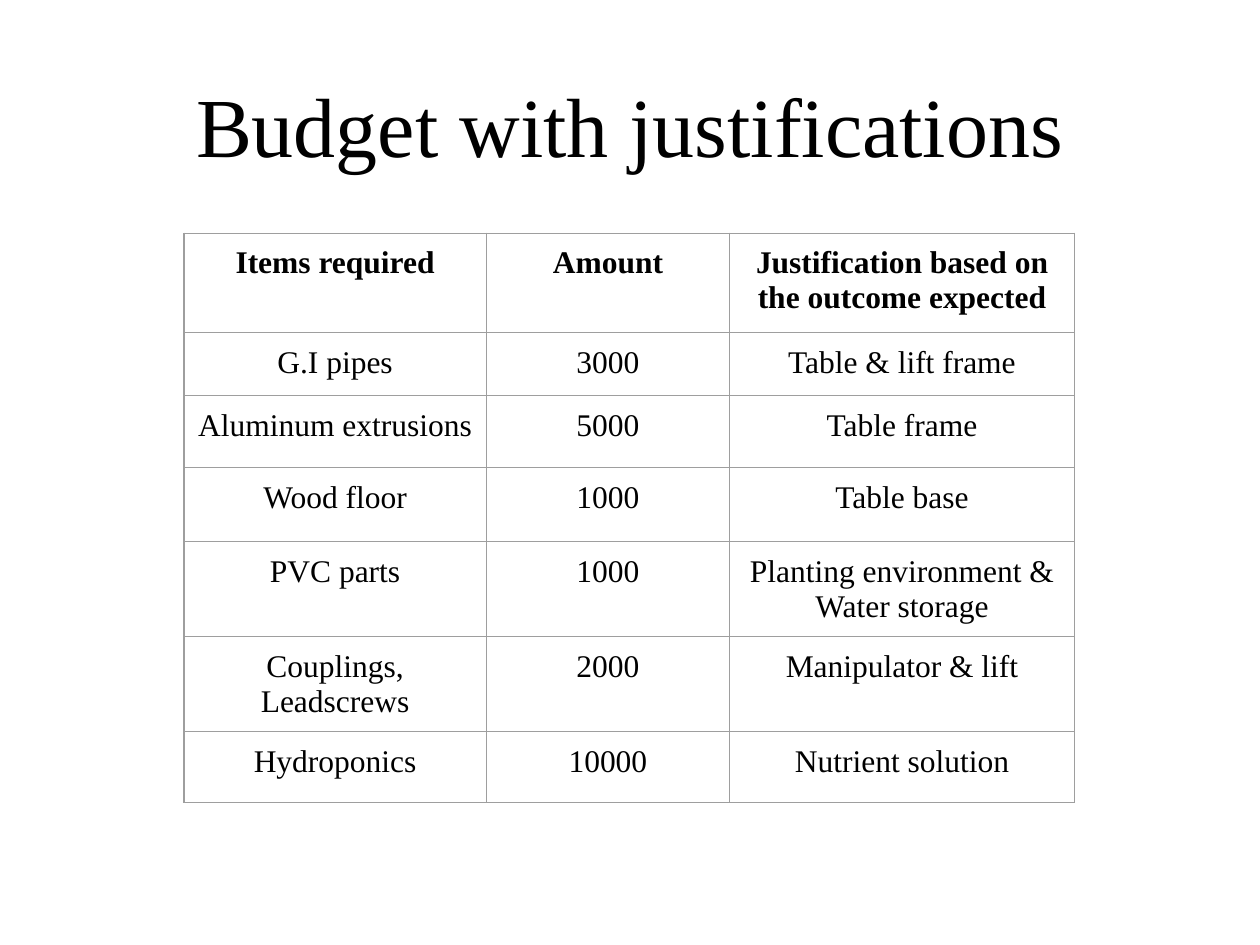
"""Build a slide with a budget table and the justification for each item."""
from dataclasses import dataclass

from lxml import etree
from pptx import Presentation
from pptx.dml.color import RGBColor
from pptx.enum.text import MSO_ANCHOR, MSO_AUTO_SIZE, PP_ALIGN
from pptx.oxml.ns import qn
from pptx.util import Pt

CENTER = PP_ALIGN.CENTER
TOP, MIDDLE = MSO_ANCHOR.TOP, MSO_ANCHOR.MIDDLE
NO_AUTOFIT = MSO_AUTO_SIZE.NONE
PX = 9144


@dataclass(frozen=True)
class Theme:
    font: str = "Times New Roman"
    ink: RGBColor = RGBColor(0, 0, 0)
    rule: str = "9E9E9E"
    rule_width: int = Pt(0.75)
    title_size: int = Pt(48)
    body_size: int = Pt(18)


def apply(target, values):
    for name, value in values.items():
        setattr(target, name, value)


def style_text(paragraph, size, bold):
    paragraph.alignment = CENTER
    apply(paragraph.font, {"name": theme.font, "size": size, "bold": bold})
    paragraph.font.color.rgb = theme.ink


theme = Theme()
budget = [
    ("Items required", "Amount", "Justification based on the outcome expected"),
    ("G.I pipes", "3000", "Table & lift frame"),
    ("Aluminum extrusions", "5000", "Table frame"),
    ("Wood floor", "1000", "Table base"),
    ("PVC parts", "1000", "Planting environment & Water storage"),
    ("Couplings, Leadscrews", "2000", "Manipulator & lift"),
    ("Hydroponics", "10000", "Nutrient solution"),
]
column_widths = [240, 193, 274]
row_heights = [79, 50, 57, 59, 52, 56, 56]

deck = Presentation()
apply(deck, {"slide_width": 1000 * PX, "slide_height": 750 * PX})
slide = deck.slides.add_slide(deck.slide_layouts[5])

heading = slide.shapes.title
apply(heading, {"left": 50 * PX, "top": 30 * PX,
                "width": 900 * PX, "height": 125 * PX})
apply(heading.text_frame, {
    "text": "Budget with justifications",
    "word_wrap": True,
    "auto_size": NO_AUTOFIT,
    "vertical_anchor": MIDDLE,
    "margin_left": 10 * PX, "margin_right": 10 * PX,
    "margin_top": 5 * PX, "margin_bottom": 5 * PX,
})
heading_line = heading.text_frame.paragraphs[0]
apply(heading_line, {"line_spacing": 1.15, "space_after": Pt(10)})
style_text(heading_line, theme.title_size, False)

budget_table = slide.shapes.add_table(
    len(budget), len(column_widths), 146 * PX, 185 * PX,
    sum(column_widths) * PX, sum(row_heights) * PX).table
apply(budget_table, {"first_row": False, "horz_banding": False})
for column, width in zip(budget_table.columns, column_widths):
    column.width = width * PX
for row, height in zip(budget_table.rows, row_heights):
    row.height = height * PX

cell_format = {"vertical_anchor": TOP}
cell_format.update({f"margin_{side}": 10 * PX
                    for side in ("left", "right", "top", "bottom")})
for row_index, entries in enumerate(budget):
    for column_index, entry in enumerate(entries):
        cell = budget_table.cell(row_index, column_index)
        cell.text = entry
        apply(cell, cell_format)
        style_text(cell.text_frame.paragraphs[0], theme.body_size, row_index == 0)
        properties = cell._tc.get_or_add_tcPr()
        for edge in ("a:lnL", "a:lnR", "a:lnT", "a:lnB"):
            border = etree.SubElement(properties, qn(edge), w=str(theme.rule_width))
            paint = etree.SubElement(border, qn("a:solidFill"))
            etree.SubElement(paint, qn("a:srgbClr"), val=theme.rule)
        cell.fill.background()

deck.save("out.pptx")
